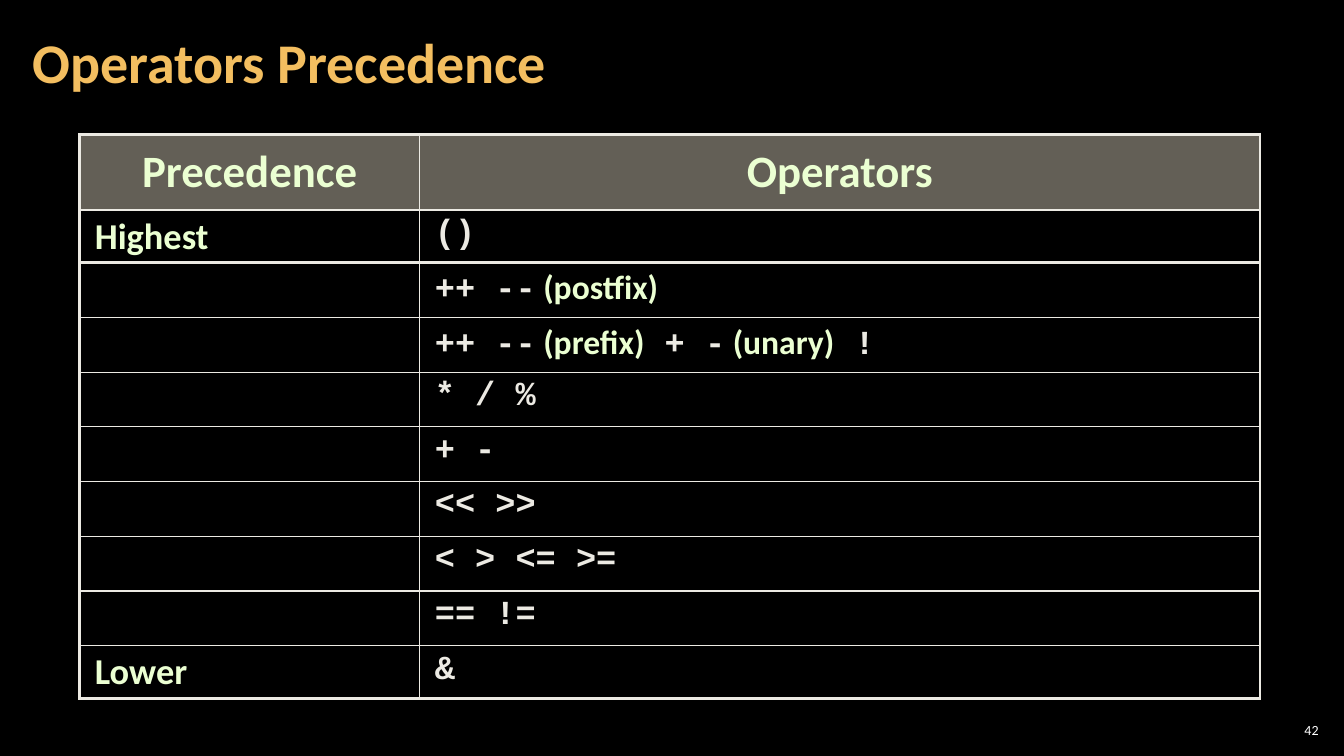
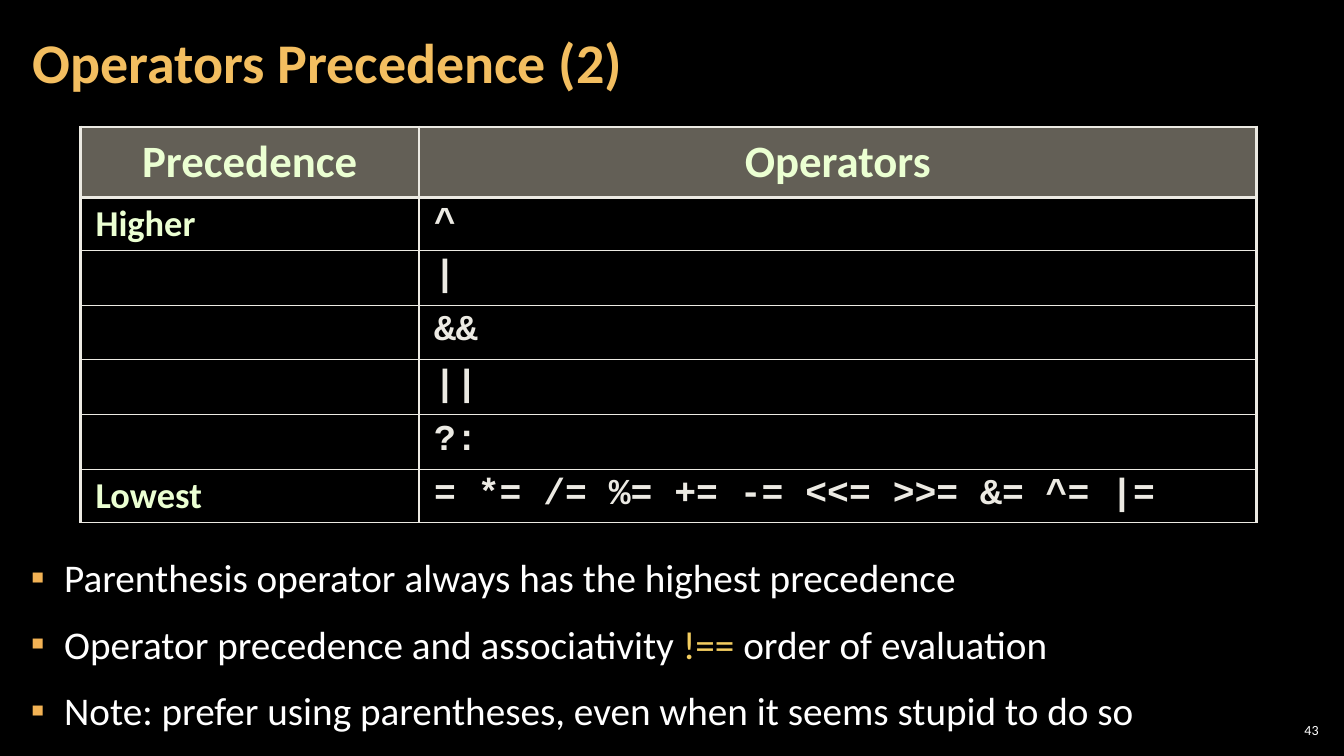
"""Build two slides that tabulate operator precedence."""
from dataclasses import dataclass

from lxml.etree import SubElement
from pptx import Presentation
from pptx.dml.color import RGBColor
from pptx.enum.text import MSO_ANCHOR, PP_ALIGN
from pptx.oxml.ns import qn
from pptx.util import Cm, Pt


@dataclass(frozen=True)
class TextStyle:
    """Font, size and colour of a run."""
    font: str
    size: float
    color: str
    bold: bool = False


@dataclass(frozen=True)
class Theme:
    """Colours, type styles and line widths shared by the slides."""
    background: str = "000000"
    header_fill: str = "C7BFAC"
    header_opacity: int = 50
    border: str = "ECEAE3"
    bullet: str = "F2B254"
    thin: float = 1
    heavy: float = 2.25
    title: TextStyle = TextStyle("Calibri", 40, "F3BE60", True)
    header: TextStyle = TextStyle("Calibri", 32, "EBFFD2", True)
    label: TextStyle = TextStyle("Calibri", 26, "EBFFD2", True)
    remark: TextStyle = TextStyle("Calibri", 24, "EBFFD2", True)
    code: TextStyle = TextStyle("Courier New", 24, "ECEAE3", True)
    large_code: TextStyle = TextStyle("Courier New", 26, "ECEAE3", True)
    body: TextStyle = TextStyle("Calibri", 28, "FFFFFF")
    emphasis: TextStyle = TextStyle("Calibri", 28, "F3CD60")
    number: TextStyle = TextStyle("Calibri", 10, "FFFFFF")


THEME = Theme()
LABELLED_ROW = Cm(1.33)
UNLABELLED_ROW = Cm(1.38)


def write_runs(paragraph, pieces, line_spacing=None, alignment=PP_ALIGN.LEFT):
    """Fill a paragraph with (text, style) pieces."""
    paragraph.alignment = alignment
    paragraph.line_spacing = line_spacing
    for text, style in pieces:
        run = paragraph.add_run()
        run.text = text
        run.font.name = style.font
        run.font.size = Pt(style.size)
        run.font.bold = style.bold
        run.font.color.rgb = RGBColor.from_string(style.color)


def set_margins(frame, horizontal, vertical):
    """Set equal margins on opposite sides of a text frame or cell."""
    frame.margin_left = frame.margin_right = horizontal
    frame.margin_top = frame.margin_bottom = vertical


def add_titled_slide(presentation, title, number):
    """Add a slide with its title and slide number."""
    slide = presentation.slides.add_slide(presentation.slide_layouts[5])
    shape = slide.shapes.title
    shape.left, shape.top, shape.width, shape.height = Cm(0.53), Cm(0.1), Cm(26.6), Cm(3.07)
    frame = shape.text_frame
    frame.vertical_anchor = MSO_ANCHOR.MIDDLE
    set_margins(frame, Cm(0.3), Cm(0.1))
    write_runs(frame.paragraphs[0], [(title, THEME.title)], 0.9)

    frame = slide.shapes.add_textbox(Cm(32.13), Cm(18.14), Cm(1.2), Cm(0.53)).text_frame
    frame.word_wrap = True
    frame.vertical_anchor = MSO_ANCHOR.MIDDLE
    set_margins(frame, Cm(0.1), Cm(0.1))
    write_runs(frame.paragraphs[0], [(str(number), THEME.number)], alignment=PP_ALIGN.RIGHT)
    return slide


def set_borders(cell, widths):
    """Draw cell borders from a mapping of side to width in points."""
    properties = cell._tc.get_or_add_tcPr()
    for position, side in enumerate("LRTB"):
        line = SubElement(properties, qn(f"a:ln{side}"), w=str(Pt(widths[side])))
        fill = SubElement(line, qn("a:solidFill"))
        SubElement(fill, qn("a:srgbClr"), val=THEME.border)
        properties.insert(position, line)


def fill_header(cell):
    """Give a header cell its translucent fill."""
    cell.fill.solid()
    cell.fill.fore_color.rgb = RGBColor.from_string(THEME.header_fill)
    color = cell._tc.tcPr.find(f".//{qn('a:srgbClr')}")
    SubElement(color, qn("a:alpha"), val=str(THEME.header_opacity * 1000))


def add_precedence_table(slide, left, top, column_widths, header_height, rows, heavy_rules):
    """Add a table of (label, operator pieces) rows; heavy_rules numbers the thick rules."""
    header = ("Precedence", [("Operators", THEME.header)])
    heights = [header_height] + [LABELLED_ROW if label else UNLABELLED_ROW for label, _ in rows]
    table = slide.shapes.add_table(
        len(heights), 2, left, top, sum(column_widths), sum(heights)).table
    table.first_row = table.horz_banding = False
    for column, width in zip(table.columns, column_widths):
        column.width = width

    def rule_width(index):
        """Return the width of a horizontal rule."""
        return THEME.heavy if index in heavy_rules else THEME.thin

    for row_index, (label, operators) in enumerate([header, *rows]):
        table.rows[row_index].height = heights[row_index]
        is_header = row_index == 0
        label_style = THEME.header if is_header else THEME.label
        label_pieces = [(label, label_style)] if label else []
        for column_index, pieces in enumerate((label_pieces, operators)):
            cell = table.cell(row_index, column_index)
            set_margins(cell, Cm(0.38), Cm(0.13))
            centred = is_header or column_index == 0
            cell.vertical_anchor = MSO_ANCHOR.MIDDLE if centred else MSO_ANCHOR.TOP
            alignment = PP_ALIGN.CENTER if is_header else PP_ALIGN.LEFT
            write_runs(cell.text_frame.paragraphs[0], pieces, 0.95, alignment)
            if is_header:
                fill_header(cell)
            else:
                cell.fill.background()
            set_borders(cell, {
                "L": THEME.thin if column_index else THEME.heavy,
                "R": THEME.heavy if column_index else THEME.thin,
                "T": rule_width(row_index),
                "B": rule_width(row_index + 1),
            })


def add_bullets(slide, items):
    """Add the bulleted list below the table."""
    frame = slide.shapes.add_textbox(Cm(0.53), Cm(13.77), Cm(32.8), Cm(4.37)).text_frame
    frame.word_wrap = True
    for index, pieces in enumerate(items):
        paragraph = frame.add_paragraph() if index else frame.paragraphs[0]
        write_runs(paragraph, pieces, 1.05)
        paragraph.space_before = paragraph.space_after = Pt(6)
        properties = paragraph._p.get_or_add_pPr()
        properties.set("marL", str(Cm(0.84)))
        properties.set("indent", str(-Cm(0.84)))
        color = SubElement(properties, qn("a:buClr"))
        SubElement(color, qn("a:srgbClr"), val=THEME.bullet)
        SubElement(properties, qn("a:buFont"), typeface="Calibri")
        SubElement(properties, qn("a:buChar"), char="▪")


def build_first_slide(presentation):
    """Build the slide with the higher half of the operators."""
    slide = add_titled_slide(presentation, "Operators Precedence", 42)
    code, remark = THEME.code, THEME.remark
    rows = [
        ("Highest", [("()", code)]),
        ("", [("++ --", code), (" (postfix)", remark)]),
        ("", [("++ --", code), (" (prefix)", remark), (" + -", code),
              (" (unary)", remark), (" !", code)]),
        *[("", [(text, code)]) for text in ("* / %", "+ -", "<< >>", "< > <= >=", "== !=")],
        ("Lower", [("&", code)]),
    ]
    add_precedence_table(slide, Cm(2.01), Cm(3.38), (Cm(8.57), Cm(21.17)), Cm(1.91),
                         rows, {0, 1, 2, len(rows) + 1})


def build_second_slide(presentation):
    """Build the slide with the lower half of the operators and the advice."""
    slide = add_titled_slide(presentation, "Operators Precedence (2)", 43)
    operators = [("Higher", "^"), ("", "|"), ("", "&&"), ("", "||"), ("", "?:"),
                 ("Lowest", "= *= /= %= += -= <<= >>= &= ^= |=")]
    rows = [(label, [(text, THEME.large_code)]) for label, text in operators]
    add_precedence_table(slide, Cm(2.03), Cm(3.2), (Cm(8.53), Cm(21.11)), Cm(1.78),
                         rows, {0, 1})
    add_bullets(slide, [
        [("Parenthesis operator always has the highest precedence", THEME.body)],
        [("Operator precedence and associativity ", THEME.body), ("!== ", THEME.emphasis),
         ("order of evaluation", THEME.body)],
        [("Note: prefer using parentheses, even when it seems stupid to do so", THEME.body)],
    ])


def main():
    """Build and save the presentation."""
    presentation = Presentation()
    presentation.slide_width, presentation.slide_height = Cm(33.87), Cm(19.05)
    background = presentation.slide_master.background.fill
    background.solid()
    background.fore_color.rgb = RGBColor.from_string(THEME.background)
    build_first_slide(presentation)
    build_second_slide(presentation)
    presentation.save("out.pptx")


if __name__ == "__main__":
    main()
